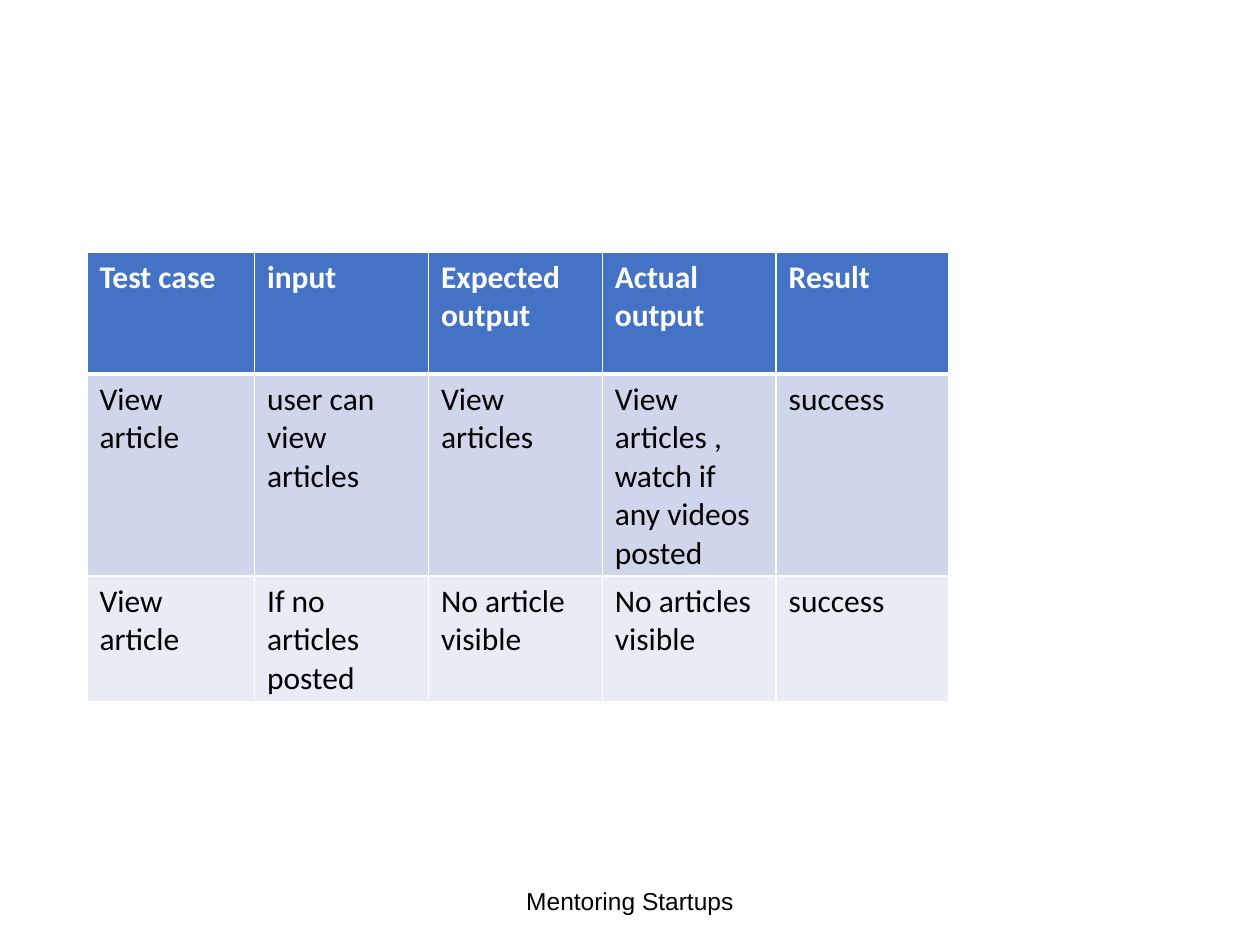
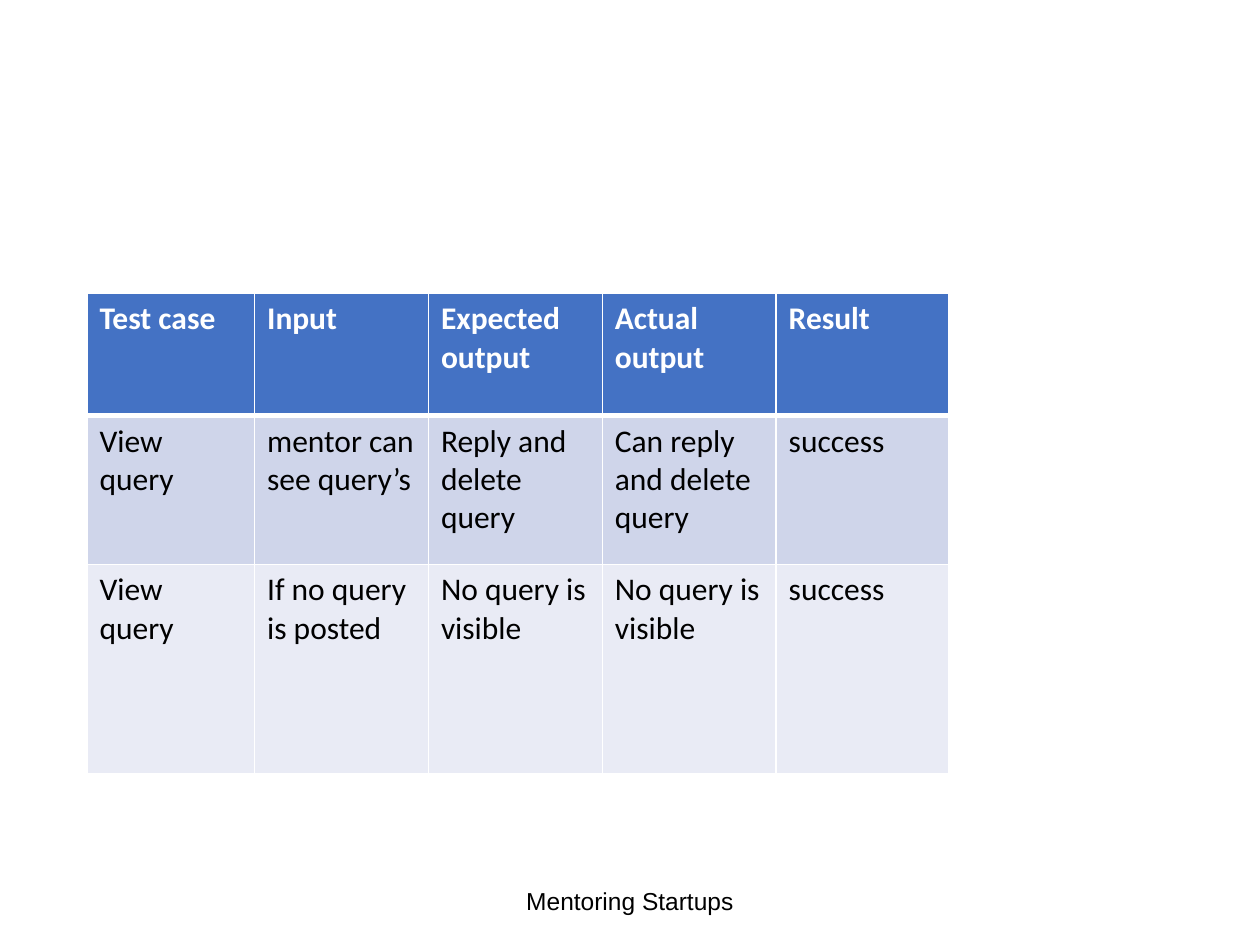
import pptx
import pptx.dml.color
import pptx.enum.text
import pptx.oxml.ns
import pptx.util
from lxml import etree

Inches = pptx.util.Inches

# Shared look
WHITE, BLACK = "FFFFFF", "000000"
HEADER_FILL = "4472C4"
BAND_FILLS = ("CFD5EA", "E9EBF5")
TABLE_FONT, FOOTER_FONT = "Calibri", "Arial"
FOOTER_TEXT = "Mentoring Startups"
TABLE_LEFT = 0.69
COLUMN_WIDTHS = (1.33, 1.38, 1.38, 1.38, 1.37)
THIN, THICK = 1, 3

# Content of the two test tables
ARTICLE_TESTS = [
    ("Test case", "input", "Expected output", "Actual output", "Result"),
    ("View article", "user can view articles", "View articles",
     "View articles , watch if any videos posted", "success"),
    ("View article", "If no articles posted", "No article visible",
     "No articles visible", "success"),
]
QUERY_TESTS = [
    ("Test case", "Input", "Expected output", "Actual output", "Result"),
    ("View query", "mentor can see query’s", "Reply and delete query",
     "Can reply and delete query", "success"),
    ("View query", "If no query is posted", "No query is visible",
     "No query is visible", "success"),
]


def color(value):
    return pptx.dml.color.RGBColor.from_string(value)


def format_text(frame, font_name, size, text_color, bold=False):
    for para in frame.paragraphs:
        for span in para.runs:
            span.font.name = font_name
            span.font.size = pptx.util.Pt(size)
            span.font.bold = bold
            span.font.color.rgb = color(text_color)


def set_borders(cell, top, bottom):
    """Draw white lines on all four sides, widths in points."""
    properties = cell._tc.get_or_add_tcPr()
    qualified = pptx.oxml.ns.qn
    for side, width in (("L", THIN), ("R", THIN), ("T", top), ("B", bottom)):
        line = etree.SubElement(properties, qualified(f"a:ln{side}"),
                                w=str(pptx.util.Pt(width)))
        fill = etree.SubElement(line, qualified("a:solidFill"))
        etree.SubElement(fill, qualified("a:srgbClr"), val=WHITE)


def style_cell(cell, row_index):
    is_header = row_index == 0
    set_borders(cell, THICK if row_index == 1 else THIN,
                THICK if is_header else THIN)
    cell.fill.solid()
    cell.fill.fore_color.rgb = color(
        HEADER_FILL if is_header else BAND_FILLS[(row_index - 1) % 2])
    format_text(cell.text_frame, TABLE_FONT, 18,
                WHITE if is_header else BLACK, is_header)


def add_test_table(page, top, row_heights, rows):
    table = page.shapes.add_table(
        len(rows), len(COLUMN_WIDTHS), Inches(TABLE_LEFT), Inches(top),
        Inches(sum(COLUMN_WIDTHS)), Inches(sum(row_heights))).table
    for column, width in zip(table.columns, COLUMN_WIDTHS):
        column.width = Inches(width)
    for row_index, (height, texts) in enumerate(zip(row_heights, rows)):
        table.rows[row_index].height = Inches(height)
        for column_index, text in enumerate(texts):
            cell = table.cell(row_index, column_index)
            cell.text_frame.text = text
            style_cell(cell, row_index)


def add_footer(page):
    box = page.shapes.add_textbox(
        Inches(3.31), Inches(6.95), Inches(3.38), Inches(0.4))
    frame = box.text_frame
    frame.word_wrap = True
    frame.vertical_anchor = pptx.enum.text.MSO_ANCHOR.MIDDLE
    frame.text = FOOTER_TEXT
    frame.paragraphs[0].alignment = pptx.enum.text.PP_ALIGN.CENTER
    format_text(frame, FOOTER_FONT, 14, BLACK)


def add_test_page(deck, top, row_heights, rows):
    page = deck.slides.add_slide(deck.slide_layouts[6])
    page.background.fill.solid()
    page.background.fill.fore_color.rgb = color(WHITE)
    add_footer(page)
    add_test_table(page, top, row_heights, rows)


def main():
    deck = pptx.Presentation()
    deck.slide_width, deck.slide_height = Inches(10), Inches(7.5)
    add_test_page(deck, 2, (0.97, 1.13, 0.87), ARTICLE_TESTS)
    add_test_page(deck, 2.33, (0.97, 1.18, 1.66), QUERY_TESTS)
    deck.save("out.pptx")


if __name__ == "__main__":
    main()
